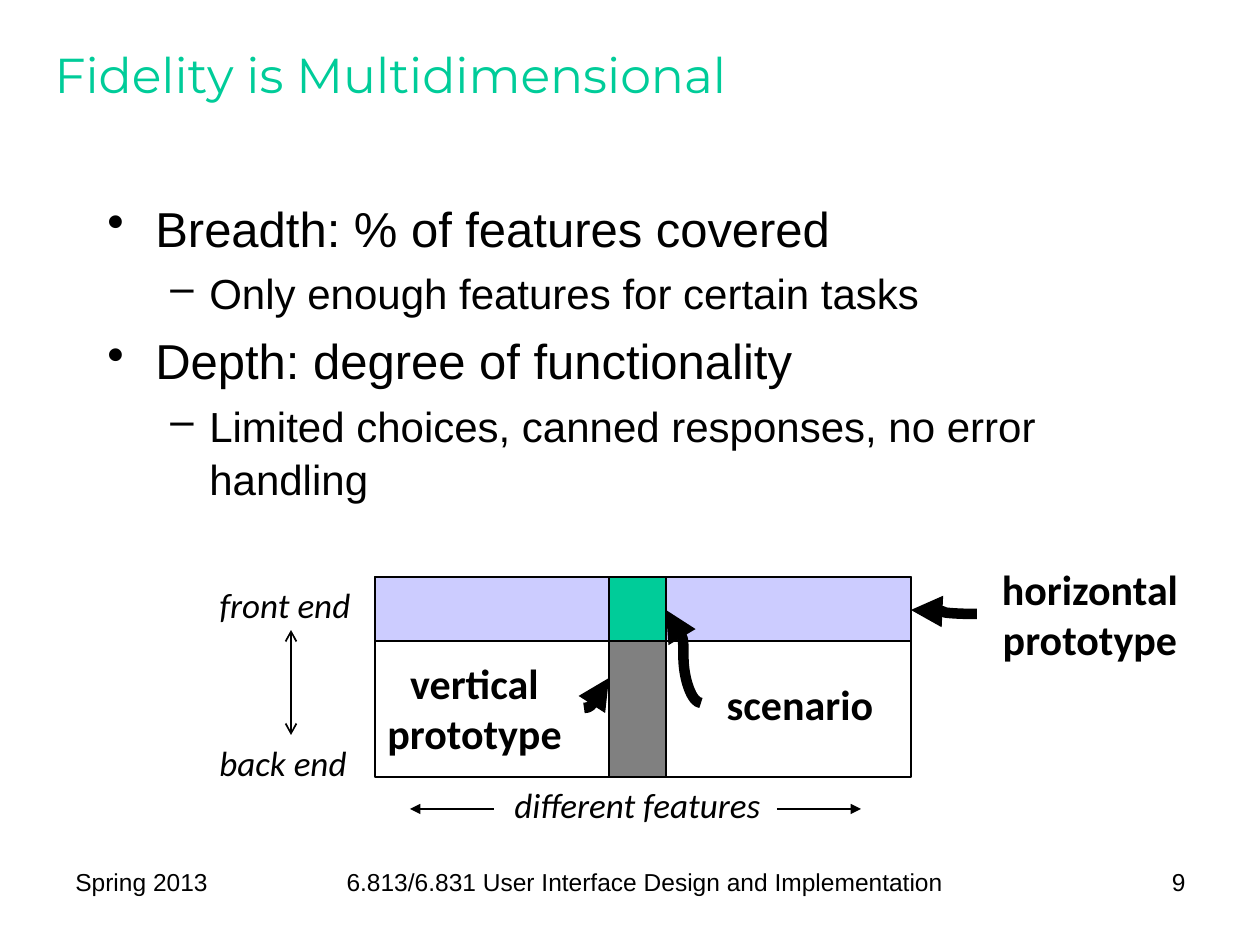
from pptx import Presentation
from pptx.dml.color import RGBColor
from pptx.enum.shapes import MSO_CONNECTOR, MSO_SHAPE
from pptx.enum.text import MSO_ANCHOR, MSO_AUTO_SIZE, PP_ALIGN
from pptx.oxml.ns import qn
from pptx.util import Emu, Pt
from lxml import etree

PX = 914400 / 126
STRAIGHT, CURVE = MSO_CONNECTOR.STRAIGHT, MSO_CONNECTOR.CURVE
RECT = MSO_SHAPE.RECTANGLE
LEFT, CENTER, RIGHT = PP_ALIGN.LEFT, PP_ALIGN.CENTER, PP_ALIGN.RIGHT
MIDDLE = MSO_ANCHOR.MIDDLE
FIT = MSO_AUTO_SIZE.SHAPE_TO_FIT_TEXT
BLACK = RGBColor(0x00, 0x00, 0x00)
WHITE = RGBColor(0xFF, 0xFF, 0xFF)
GREEN = RGBColor(0x00, 0xCC, 0x99)
LILAC = RGBColor(0xCC, 0xCC, 0xFF)
GRAY = RGBColor(0x80, 0x80, 0x80)

BULLETS = [
    (0, "Breadth: % of features covered"),
    (1, "Only enough features for certain tasks"),
    (0, "Depth: degree of functionality"),
    (1, "Limited choices, canned responses, no error handling"),
]
LEVELS = [("•", 28, 48, 48), ("–", 24, 102, 39)]
FOOTERS = [
    ("Spring 2013", 63, 189, LEFT),
    ("6.813/6.831 User Interface Design and Implementation", 262, 766, CENTER),
    ("9", 1040, 158, RIGHT),
]
PROTOTYPES = [
    ("horizontal\nprototype", (977, 557, 226, 113)),
    ("vertical\nprototype", (365, 651, 219, 113)),
    ("scenario", (701, 672, 198, 63)),
]
AXES = [
    ("front end", (203, 577, 164, 54)),
    ("back end", (199, 735, 168, 54)),
    ("different features", (494, 777, 287, 54)),
]


def px(*values):
    """Turn pixel lengths into EMU."""
    return [Emu(round(v * PX)) for v in values]


def format_paragraph(p, size, font="Arial", color=BLACK, align=LEFT, bold=False, italic=False):
    """Align a paragraph and set the font of its runs."""
    p.alignment = align
    for r in p.runs:
        r.font.size = Pt(size)
        r.font.name = font
        r.font.color.rgb = color
        r.font.bold = bold
        r.font.italic = italic


def add_title(s, text):
    """Place and format the title placeholder."""
    title = s.shapes.title
    title.left, title.top, title.width, title.height = px(42, 21, 1166, 105)
    tf = title.text_frame
    tf.text = text
    tf.vertical_anchor = MIDDLE
    format_paragraph(tf.paragraphs[0], 28, "Montserrat", GREEN)


def add_text(s, text, box, size, wrap=True, **style):
    """Add a text box with one paragraph."""
    tf = s.shapes.add_textbox(*px(*box)).text_frame
    tf.word_wrap = wrap
    if not wrap:
        tf.auto_size = FIT
    p = tf.paragraphs[0]
    p.text = text
    format_paragraph(p, size, **style)


def add_bullets(s, items, box):
    """Add a two-level bulleted list."""
    tf = s.shapes.add_textbox(*px(*box)).text_frame
    tf.word_wrap = True
    for i, (level, text) in enumerate(items):
        char, size, margin, hanging = LEVELS[level]
        p = tf.paragraphs[0] if i == 0 else tf.add_paragraph()
        p.text = text
        p.level = level
        p.space_before = Pt(size * 0.2)
        p.line_spacing = 1.05
        format_paragraph(p, size)
        pPr = p._p.get_or_add_pPr()
        mar, ind = px(margin, -hanging)
        pPr.set("marL", str(mar))
        pPr.set("indent", str(ind))
        etree.SubElement(pPr, qn("a:buChar"), char=char)


def add_rect(s, box, fill):
    """Add a filled rectangle with a thin black outline."""
    sp = s.shapes.add_shape(RECT, *px(*box))
    sp.shadow.inherit = False
    sp.fill.solid()
    sp.fill.fore_color.rgb = fill
    sp.line.color.rgb = BLACK
    sp.line.width = Pt(1)


def add_arrow(s, points, kind=STRAIGHT, width=1, head=None, tail="triangle"):
    """Add a black connector with arrowheads."""
    c = s.shapes.add_connector(kind, *px(*points))
    c.line.color.rgb = BLACK
    c.line.width = Pt(width)
    spPr = c.element.spPr
    ln = spPr.find(qn("a:ln"))
    for tag, end in (("a:headEnd", head), ("a:tailEnd", tail)):
        if end:
            etree.SubElement(ln, qn(tag), type=end)
    etree.SubElement(spPr, qn("a:effectLst"))


def add_diagram(s):
    """Draw the grid of features by depth with its labels and arrows."""
    left, top, width, height = 375, 577, 536, 200
    front, column, narrow = 64, 609, 57
    add_rect(s, (left, top, width, height), WHITE)
    add_rect(s, (left, top, width, front), LILAC)
    add_rect(s, (column, top, narrow, height), GRAY)
    add_rect(s, (column, top, narrow, front), GREEN)
    for text, box in PROTOTYPES:
        add_text(s, text, box, 24, wrap=False, font="Calibri", align=CENTER, bold=True)
    for text, box in AXES:
        add_text(s, text, box, 20, wrap=False, font="Calibri", align=CENTER, italic=True)
    add_arrow(s, (291, 735, 291, 630), head="arrow", tail="arrow")
    for start, end in ((494, 410), (777, 861)):
        add_arrow(s, (start, 809, end, 809))
    for points in ((584, 708, 609, 678), (977, 614, 911, 610), (701, 703, 666, 610)):
        add_arrow(s, points, CURVE, 6)


def main():
    """Build the slide and save it."""
    prs = Presentation()
    prs.slide_width, prs.slide_height = px(1260, 945)
    s = prs.slides.add_slide(prs.slide_layouts[5])
    add_title(s, "Fidelity is Multidimensional")
    add_bullets(s, BULLETS, (95, 189, 1071, 651))
    for text, left, width, align in FOOTERS:
        add_text(s, text, (left, 861, width, 66), 14, align=align)
    add_diagram(s)
    prs.save("out.pptx")


if __name__ == "__main__":
    main()
